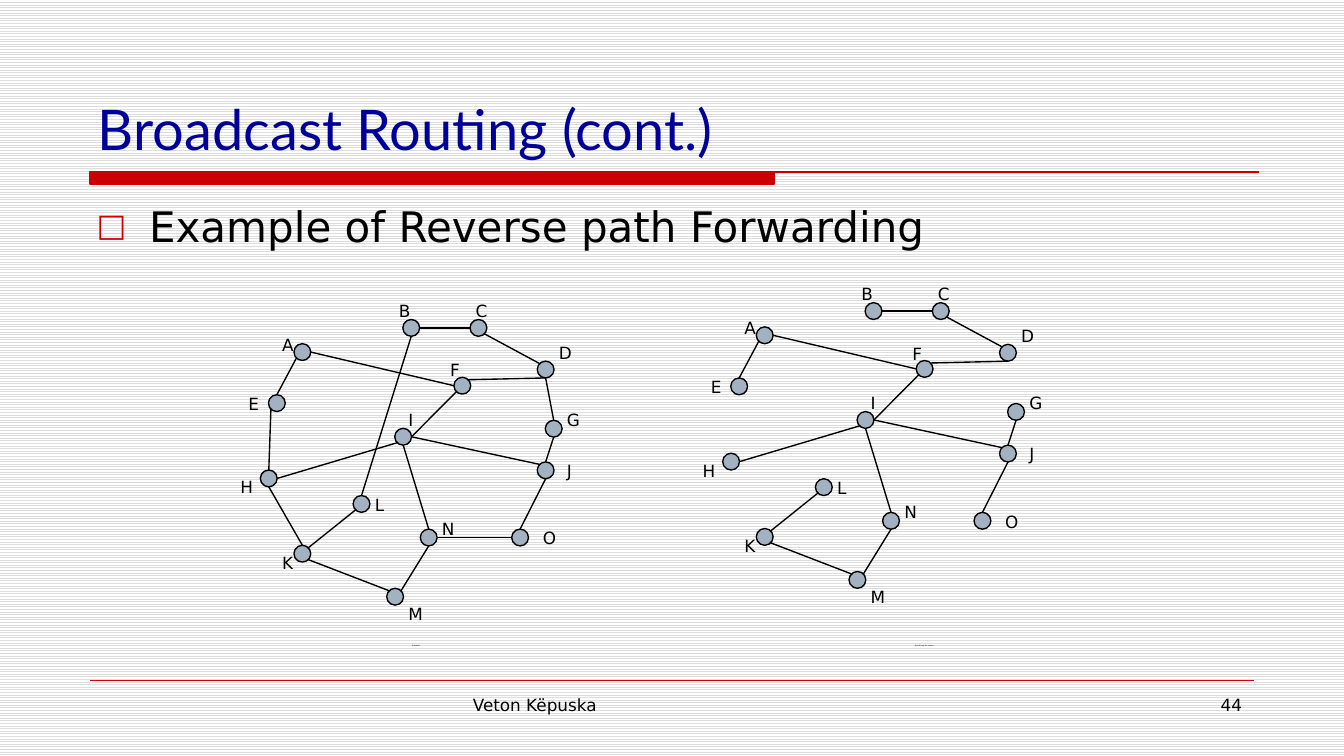
"""Build the Broadcast Routing slide with a subnet and its sink tree."""
import math
from dataclasses import dataclass

from lxml import etree
from pptx import Presentation
from pptx import util as u
from pptx.dml.color import RGBColor
from pptx.enum import dml, shapes, text
from pptx.oxml.ns import qn


@dataclass(frozen=True)
class Theme:
    ink: str = "000000"
    accent: str = "CC0000"
    heading: str = "000099"
    router: str = "A3B2C1"
    paper: str = "FFFFFF"
    stripe: str = "DDDDDD"
    title_font: str = "Lato"
    body_font: str = "DejaVu Sans"
    title_size: float = 30
    body_size: float = 22.5
    label_size: float = 9
    caption_size: float = 1
    rule: float = 0.75
    hairline: float = 0.25


ROUTER_SIZE = 1 / 8
LABEL_SIZE = 0.25
COMPASS = {name: math.radians(45 * step) for step, name in
           enumerate(("e", "se", "s", "sw", "w", "nw", "n", "ne"))}

# name: (router centre x, y, label left, top)
ROUTERS = {
    "A": (2.25, 2.62, 2.00, 2.44), "E": (2.06, 3.00, 1.75, 2.88),
    "H": (2.00, 3.56, 1.69, 3.50), "K": (2.25, 4.12, 2.00, 4.06),
    "M": (2.94, 4.44, 2.94, 4.44), "L": (2.69, 3.75, 2.69, 3.63),
    "N": (3.19, 4.00, 3.19, 3.81), "I": (3.00, 3.25, 2.94, 3.00),
    "O": (3.87, 4.00, 3.94, 3.88), "J": (4.06, 3.50, 4.12, 3.38),
    "G": (4.12, 3.19, 4.12, 3.00), "D": (4.06, 2.75, 4.06, 2.50),
    "C": (3.56, 2.44, 3.44, 2.19), "B": (3.06, 2.44, 2.87, 2.19),
    "F": (3.44, 2.87, 3.25, 2.63),
}
TREE_LINKS = (
    "A.e F.w", "A.sw E.n", "K.se M.nw", "N.s M.ne", "J.s O.n", "G.s J.n", "C.se D.nw",
    "C.w B.e", "L.sw K.ne", "I.s N.n", "H.e I.sw", "I.e J.nw", "I.e F.sw", "F.ne D.s",
)
OTHER_LINKS = ("H.n E.sw", "H.s K.n", "N.e O.w", "D.s G.n", "L.n B.s")


class SlideBuilder:
    """Hold the theme and the slide, and draw each kind of element."""

    def __init__(self, slide, theme):
        self.slide = slide
        self.theme = theme

    def background(self):
        fill = self.slide.background.fill
        fill.patterned()
        fill.pattern = dml.MSO_PATTERN.LIGHT_HORIZONTAL
        fill.fore_color.rgb = RGBColor.from_string(self.theme.stripe)
        fill.back_color.rgb = RGBColor.from_string(self.theme.paper)

    def paint(self, item, fill, outline):
        item.shadow.inherit = False
        item.fill.solid()
        item.fill.fore_color.rgb = RGBColor.from_string(fill)
        item.line.color.rgb = RGBColor.from_string(outline)
        item.line.width = u.Pt(self.theme.rule)

    def title_rule(self, left, top, bar_right, right, bottom):
        x, y, bar_x, end_x, bar_y = map(u.Inches, (left, top, bar_right, right, bottom))
        outline = self.slide.shapes.build_freeform(x, y)
        outline.add_line_segments([(bar_x, y), (bar_x, bar_y), (x, bar_y)], close=True)
        outline.move_to(x, y)
        outline.add_line_segments([(end_x, y)], close=False)
        self.paint(outline.convert_to_shape(), self.theme.accent, self.theme.accent)

    def router(self, x, y):
        corner = (x - ROUTER_SIZE / 2, y - ROUTER_SIZE / 2)
        item = self.slide.shapes.add_shape(
            shapes.MSO_SHAPE.OVAL, *map(u.Inches, (*corner, ROUTER_SIZE, ROUTER_SIZE)))
        self.paint(item, self.theme.router, self.theme.ink)

    def line(self, start, end, color, width):
        connector = self.slide.shapes.add_connector(
            shapes.MSO_CONNECTOR.STRAIGHT, *map(u.Inches, (*start, *end)))
        connector.line.color.rgb = RGBColor.from_string(color)
        connector.line.width = u.Pt(width)
        etree.SubElement(connector._element.spPr, qn("a:effectLst"))

    def text(self, wording, left, top, width, height, size=None, font=None, color=None,
             align=text.PP_ALIGN.LEFT, anchor=text.MSO_ANCHOR.TOP):
        box = self.slide.shapes.add_textbox(*map(u.Inches, (left, top, width, height)))
        frame = box.text_frame
        frame.word_wrap = True
        frame.vertical_anchor = anchor
        paragraph = frame.paragraphs[0]
        paragraph.text = wording
        paragraph.alignment = align
        paragraph.font.size = u.Pt(size or self.theme.label_size)
        paragraph.font.name = font or self.theme.body_font
        paragraph.font.color.rgb = RGBColor.from_string(color or self.theme.ink)
        return paragraph

    def bullet(self, wording, left, top, width, height):
        paragraph = self.text(wording, left, top, width, height, self.theme.body_size)
        props = paragraph._p.get_or_add_pPr()
        props.set("marL", str(u.Inches(0.39)))
        props.set("indent", str(u.Inches(-0.39)))
        marker_color = etree.Element(qn("a:buClr"))
        etree.SubElement(marker_color, qn("a:srgbClr"), val=self.theme.accent)
        marker = (marker_color,
                  etree.Element(qn("a:buSzPct"), val="75000"),
                  etree.Element(qn("a:buFont"), typeface=self.theme.body_font),
                  etree.Element(qn("a:buChar"), char="□"))
        for position, part in enumerate(marker):
            props.insert(position, part)

    def network(self, links, dx=0.0, dy=0.0):
        def port(end):
            name, side = end.split(".")
            x, y = ROUTERS[name][:2]
            angle = COMPASS[side]
            return (x + dx + ROUTER_SIZE / 2 * math.cos(angle),
                    y + dy + ROUTER_SIZE / 2 * math.sin(angle))

        for x, y, _, _ in ROUTERS.values():
            self.router(x + dx, y + dy)
        for link in links:
            start, end = map(port, link.split())
            self.line(start, end, self.theme.ink, self.theme.rule)
        for name, (_, _, left, top) in ROUTERS.items():
            self.text(name, left + dx, top + dy, LABEL_SIZE, LABEL_SIZE)


def main():
    deck = Presentation()
    deck.slide_width, deck.slide_height = u.Inches(10), u.Inches(10 * 9 / 16)
    theme = Theme()
    page = SlideBuilder(deck.slides.add_slide(deck.slide_layouts[6]), theme)

    page.background()
    page.title_rule(left=0.67, top=1.28, bar_right=5.76, right=9.37, bottom=1.37)
    page.line((0.67, 5.06), (9.33, 5.06), theme.accent, theme.hairline)
    page.text("Veton Këpuska", 3.42, 5.12, 3.17, 0.39)
    page.text("44", 7.17, 5.12, 2.17, 0.39, align=text.PP_ALIGN.RIGHT)
    page.text("Broadcast Routing (cont.)", 0.63, 0.25, 8.75, 1, theme.title_size,
              theme.title_font, theme.heading, anchor=text.MSO_ANCHOR.BOTTOM)
    page.bullet("Example of Reverse path Forwarding", 0.62, 1.44, 8.75, 3.5)

    page.network(TREE_LINKS + OTHER_LINKS)
    page.network(TREE_LINKS, dx=3.44, dy=-1 / 8)
    for caption, left, width in (("A subnet", 2.25, 1.69),
                                 ("A sink tree for router I", 5.63, 2.5)):
        page.text(caption, left, 4.75, width, 0.12, theme.caption_size,
                  align=text.PP_ALIGN.CENTER)
    deck.save("out.pptx")


if __name__ == "__main__":
    main()
